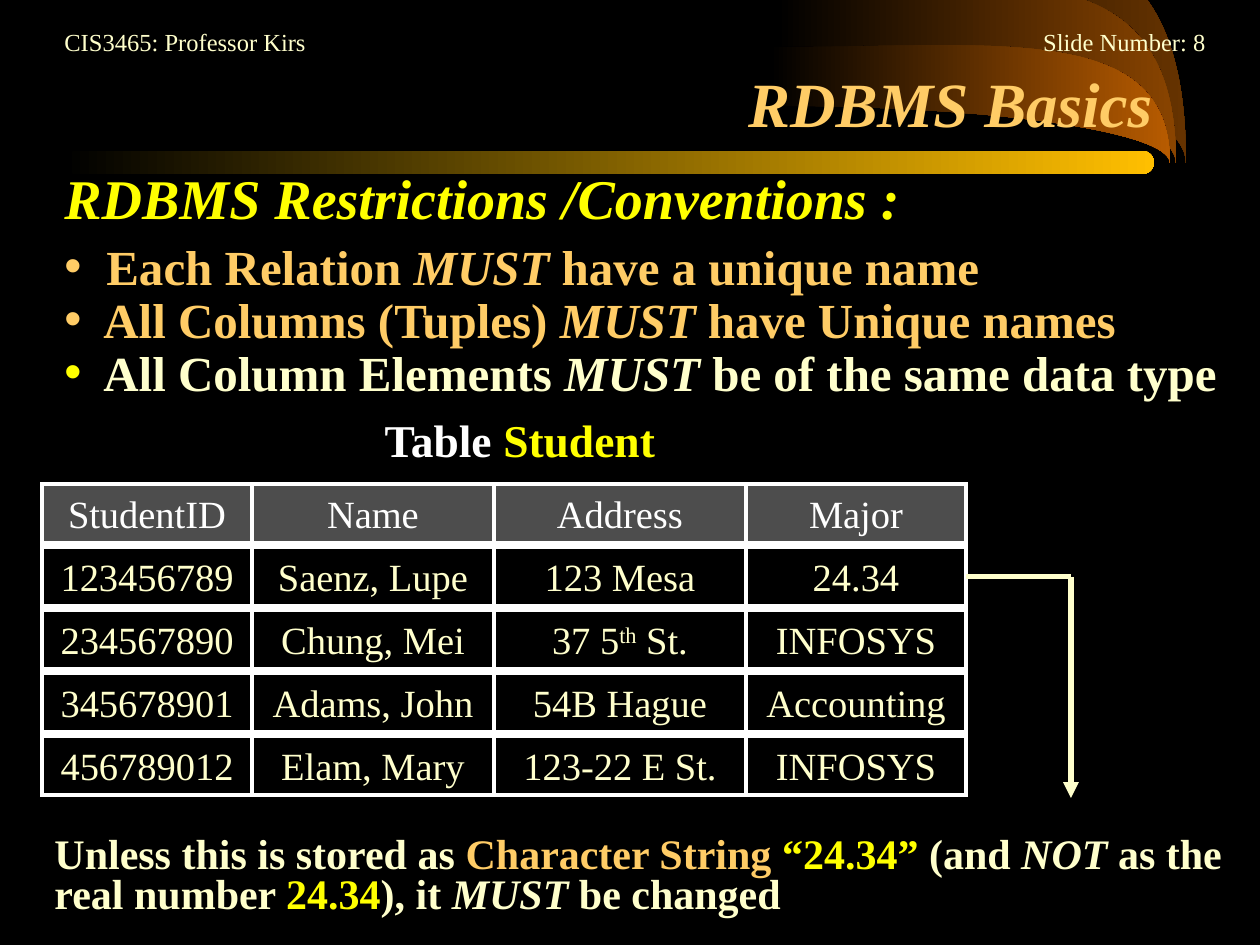
from lxml import etree
from pptx import Presentation, util as u
from pptx.dml.color import RGBColor
from pptx.enum import shapes, text
from pptx.oxml.ns import qn

PX = 914400 // 126  # EMU per px
COLOURS = {"black": "000000", "white": "FFFFFF", "cream": "FFFFCC", "orange": "FFCC66",
           "yellow": "FFFF00", "gold": "FFBF00", "header": "4D4D4D",
           "brown": "663300", "rust": "894400", "copper": "B75B00"}
RGB = {name: RGBColor.from_string(value) for name, value in COLOURS.items()}
LEFT, CENTER, RIGHT = text.PP_ALIGN.LEFT, text.PP_ALIGN.CENTER, text.PP_ALIGN.RIGHT

prs = Presentation()
prs.slide_width, prs.slide_height = u.Inches(10), u.Inches(7.5)
slide = prs.slides.add_slide(prs.slide_layouts[5])
slide.background.fill.solid()
slide.background.fill.fore_color.rgb = RGB["black"]


def write(shape, runs, size, align=LEFT, bold=False):
    """Fill a shape with runs of (words, colour, style); style is "", "i" or "sup"."""
    frame = shape.text_frame
    frame.word_wrap = True
    frame.vertical_anchor = text.MSO_ANCHOR.TOP
    paragraph = frame.paragraphs[0]
    paragraph.alignment = align
    for words, colour, style in runs:
        run = paragraph.add_run()
        run.text = words
        run.font.name, run.font.size = "Times New Roman", u.Pt(size)
        run.font.bold, run.font.italic = bold, style == "i"
        run.font.color.rgb = RGB[colour]
        if style == "sup":
            run.font._element.set("baseline", "30000")
    return paragraph


def fade(shape, colour):
    """Shade a shape from black on the left to a colour on the right."""
    shape.shadow.inherit = False
    shape.line.fill.background()
    shape.fill.gradient()
    shape.fill.gradient_angle = 0
    for stop, name in zip(shape.fill.gradient_stops, ("black", colour)):
        stop.color.rgb = RGB[name]


# Swooshes in the top right corner: two Bezier edges meeting in a tip
TIP_Y = 163
for left, inner, top, colour in ((792, 53, -62, "brown"), (782, 76, -15, "rust"),
                                 (776, 106, 47, "copper")):
    right, bend = left + 394, left + 218
    rise = round(0.45 * (TIP_Y - inner))
    outline = slide.shapes.build_freeform(left, inner, scale=PX)
    outline.add_line_segments([(bend, inner), (right, inner + rise), (right, TIP_Y),
                               (right, top - rise), (bend, top), (left, top),
                               (left - 6, top)], close=True)
    swoosh = outline.convert_to_shape()
    # The frame starts at the inner edge and is centred on the tip
    shift = top - rise - inner
    depth = 2 * (TIP_Y - inner)
    swoosh.top, swoosh.height = inner * PX, depth * PX
    route = next(swoosh._element.iter(qn("a:path")))
    route.set("h", str(depth))
    for point in route.iter(qn("a:pt")):
        point.set("y", str(int(point.get("y")) + shift))
    # Each three segments become one curve
    segments = route.findall(qn("a:lnTo"))
    for group in (segments[0:3], segments[3:6]):
        curve = etree.Element(qn("a:cubicBezTo"))
        group[0].addprevious(curve)
        for segment in group:
            curve.append(segment[0])
            route.remove(segment)
    fade(swoosh, colour)

# Gold bar under the title
bar = slide.shapes.add_shape(shapes.MSO_SHAPE.ROUNDED_RECTANGLE,
                             63 * PX, 151 * PX, 1091 * PX, 23 * PX)
bar.adjustments[0] = 0.5
fade(bar, "gold")

# Title, in front of the swooshes
title = slide.shapes.title
title._element.getparent().append(title._element)
title.left, title.top, title.width, title.height = 94 * PX, 52 * PX, 1071 * PX, 94 * PX
write(title, [("RDBMS Basics", "orange", "i")], 36, RIGHT, True)
title.text_frame.vertical_anchor = text.MSO_ANCHOR.BOTTOM
title.text_frame.auto_size = text.MSO_AUTO_SIZE.NONE

# Running heads, subtitle, table caption and closing note
texts = [
    ((52, 21, 336, 43), 14, LEFT, False, [("CIS3465: Professor Kirs", "cream", "")]),
    ((882, 21, 336, 43), 14, RIGHT, False, [("Slide Number: 8", "cream", "")]),
    ((52, 157, 987, 81), 32, LEFT, True,
     [("RDBMS Restrictions /Conventions :", "yellow", "i")]),
    ((336, 406, 368, 68), 26, CENTER, True,
     [("Table ", "white", ""), ("Student", "yellow", "")]),
    ((42, 831, 1218, 93), 24, LEFT, True,
     [("Unless this is stored as ", "cream", ""), ("Character String ", "orange", ""),
      ("“24.34”", "yellow", ""), (" (and ", "cream", ""), ("NOT", "cream", "i"),
      (" as the real number ", "cream", ""), ("24.34", "yellow", ""),
      ("), it ", "cream", ""), ("MUST", "cream", "i"), (" be changed", "cream", "")]),
]
for box, size, align, bold, runs in texts:
    block = slide.shapes.add_textbox(*(n * PX for n in box))
    paragraph = write(block, runs, size, align, bold)
paragraph.line_spacing = 0.8  # the closing note is set tight

# Bulleted rules, the first with a slightly wider indent
rules = [("Each Relation ", " have a unique name", "orange", "orange", 42),
         ("All Columns (Tuples) ", " have Unique names", "orange", "orange", 39),
         ("All Column Elements ", " be of the same data type", "cream", "yellow", 39)]
for row, (before, after, colour, dot, indent) in enumerate(rules):
    rule = slide.shapes.add_textbox(52 * PX, (230 + 53 * row) * PX, 1207 * PX, 72 * PX)
    paragraph = write(rule, [(before, colour, ""), ("MUST", colour, "i"),
                             (after, colour, "")], 28, bold=True)
    props = paragraph._p.get_or_add_pPr()
    props.set("marL", str(indent * PX))
    props.set("indent", str(-indent * PX))
    bullet_colour = etree.SubElement(props, qn("a:buClr"))
    etree.SubElement(bullet_colour, qn("a:srgbClr"), val=COLOURS[dot])
    etree.SubElement(props, qn("a:buFont"), typeface="Arial")
    etree.SubElement(props, qn("a:buChar"), char="•")

# Student grid: separate boxed cells with a gap between rows
COLUMN_EDGES = (42, 252, 494, 746, 966)
students = [("StudentID", "Name", "Address", "Major"),
            ("123456789", "Saenz, Lupe", "123 Mesa", "24.34"),
            ("234567890", "Chung, Mei", "37 5^th^ St.", "INFOSYS"),
            ("345678901", "Adams, John", "54B Hague", "Accounting"),
            ("456789012", "Elam, Mary", "123-22 E St.", "INFOSYS")]
cells = {}
for row, values in enumerate(students):
    for col, value in enumerate(values):
        x, x_end = COLUMN_EDGES[col:col + 2]
        cell = slide.shapes.add_shape(shapes.MSO_SHAPE.RECTANGLE, x * PX,
                                      (484 + 63 * row) * PX, (x_end - x) * PX, 59 * PX)
        cell.shadow.inherit = False
        cell.line.color.rgb, cell.line.width = RGB["white"], u.Pt(2)
        etree.SubElement(cell.line._get_or_add_ln(), qn("a:miter"), lim="800000")
        if row == 0:
            cell.fill.solid()
            cell.fill.fore_color.rgb = RGB["header"]
        else:
            cell.fill.background()
        colour = "cream" if row else "white"
        # words between carets are superscript
        write(cell, [(part, colour, "sup" if i % 2 else "")
                     for i, part in enumerate(value.split("^"))], 22, CENTER)
        cells[row, col] = cell

# Arrow from the odd value down to the note
across, down = (slide.shapes.add_connector(shapes.MSO_CONNECTOR.STRAIGHT,
                                           *(n * PX for n in ends))
                for ends in ((966, 577, 1071, 577), (1071, 577, 1071, 798)))
across.begin_connect(cells[1, 3], 3)
across.end_y = across.begin_y
for line in (across, down):
    line.line.color.rgb, line.line.width = RGB["cream"], u.Pt(3)
    etree.SubElement(line._element.spPr, qn("a:effectLst"))
etree.SubElement(down.line._get_or_add_ln(), qn("a:tailEnd"), type="triangle")

prs.save("out.pptx")
